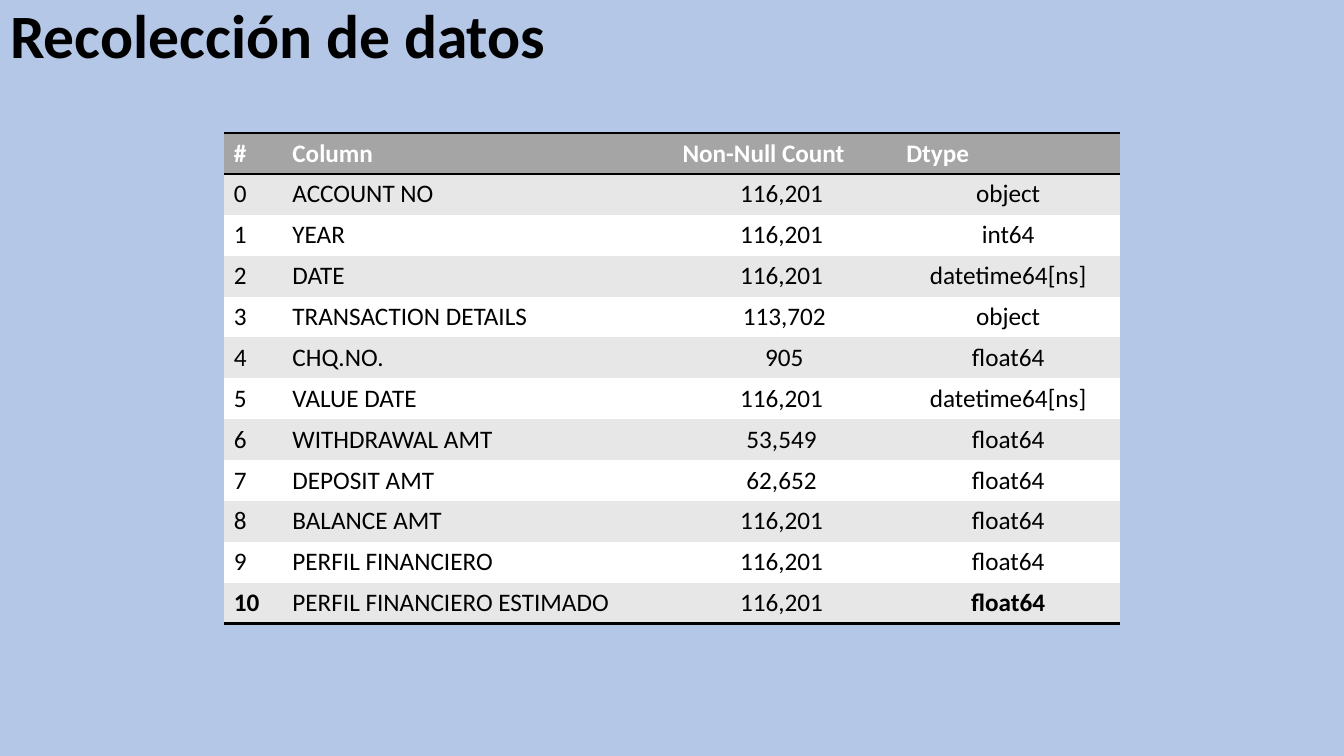
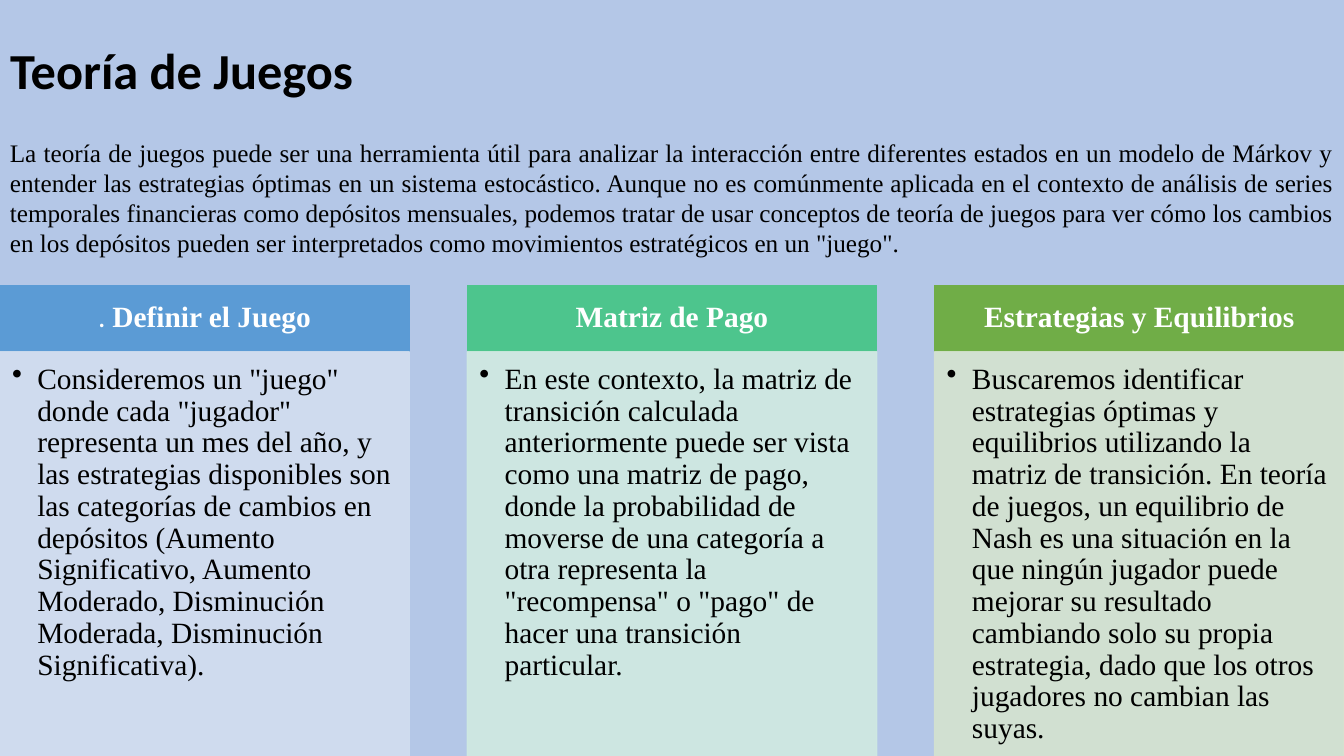
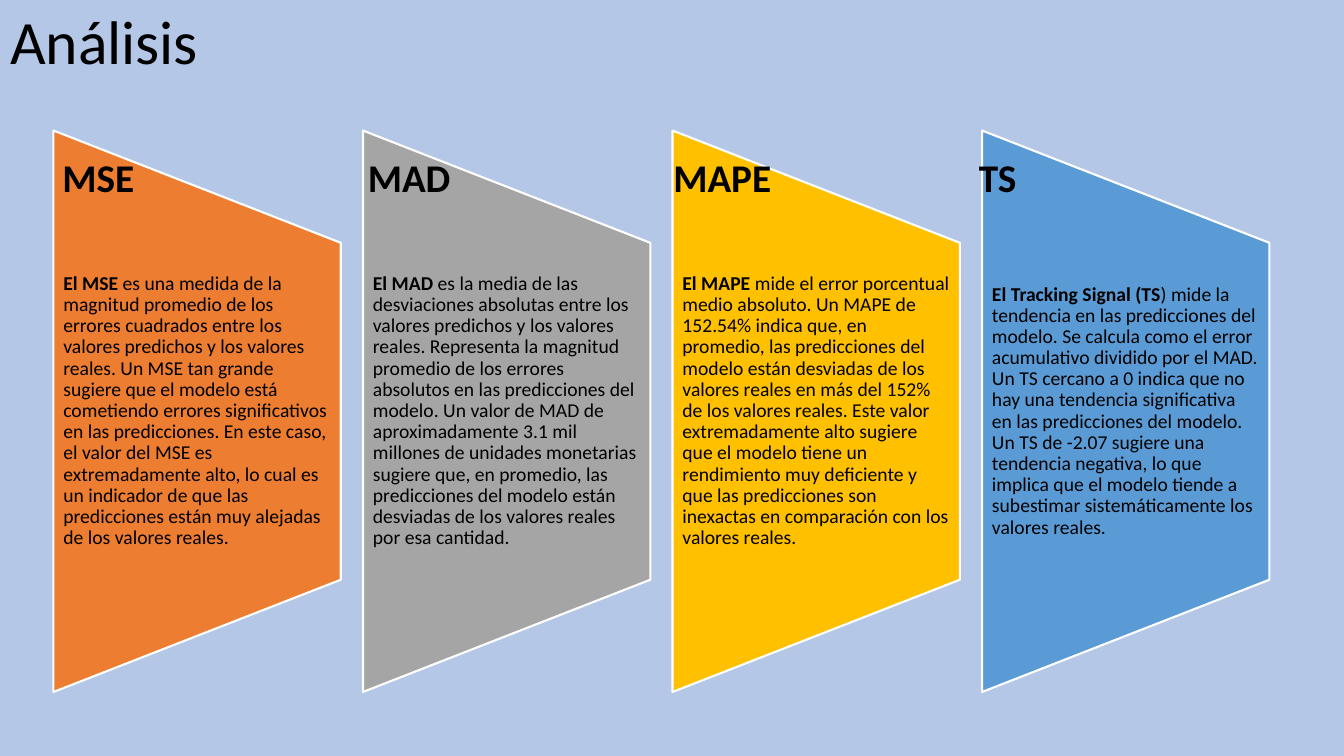
"""Build three slides on data collection, game theory and error analysis."""
from dataclasses import dataclass
from typing import Any

from lxml.etree import SubElement
from pptx import Presentation
from pptx.dml.color import RGBColor
from pptx.enum.shapes import MSO_SHAPE
from pptx.enum.text import MSO_ANCHOR, MSO_AUTO_SIZE, PP_ALIGN
from pptx.oxml.ns import qn
from pptx.util import Inches, Pt


@dataclass(frozen=True)
class Theme:
    sans: str = "Calibri"
    serif: str = "Times New Roman"
    background: str = "B4C7E7"
    black: str = "000000"
    white: str = "FFFFFF"
    gray: str = "A5A5A5"
    band: str = "E7E7E7"
    blue: str = "5B9BD5"
    green: str = "70AD47"
    teal: str = "4DC58D"
    orange: str = "ED7D31"
    yellow: str = "FFC000"
    pale_blue: str = "D2DEEF"
    pale_teal: str = "D0EAE1"
    pale_green: str = "D5E3CF"
    title: int = 44
    small_title: int = 36
    label: int = 28
    card: int = 21
    body: int = 18
    note: int = 14


@dataclass(frozen=True)
class Box:
    x: float
    y: float
    w: float
    h: float

    def lengths(self) -> tuple[int, int, int, int]:
        return Inches(self.x), Inches(self.y), Inches(self.w), Inches(self.h)


@dataclass(frozen=True)
class Column:
    prefix: str
    heading: str
    text: str
    color: str
    pale: str


@dataclass(frozen=True)
class Metric:
    label: str
    lead: str
    text: str
    color: str


T = Theme()
SLIDE_W, SLIDE_H = 13.33, 7.5
NO_GRID_STYLE = "{2D5ABB26-0587-4C30-8999-92F81FD0307C}"

COL_WIDTHS = (0.58, 3.87, 2.22, 2.22)
HEADER = ("#", "Column", "Non-Null Count", "Dtype")
FIELDS = (
    ("ACCOUNT NO", "116,201 ", "object"),
    ("YEAR", "116,201 ", "int64"),
    ("DATE", "116,201 ", "datetime64[ns]"),
    ("TRANSACTION DETAILS", "113,702", "object"),
    ("CHQ.NO.", "905", "float64"),
    ("VALUE DATE", "116,201 ", "datetime64[ns]"),
    ("WITHDRAWAL AMT", "53,549 ", "float64"),
    ("DEPOSIT AMT", "62,652 ", "float64"),
    ("BALANCE AMT", "116,201 ", "float64"),
    ("PERFIL FINANCIERO", "116,201 ", "float64"),
    ("PERFIL FINANCIERO ESTIMADO", "116,201 ", "float64"),
)

INTRO = (
    "La teoría de juegos puede ser una herramienta útil para analizar la interacción entre "
    "diferentes estados en un modelo de Márkov y entender las estrategias óptimas en un sistema "
    "estocástico. Aunque no es comúnmente aplicada en el contexto de análisis de series "
    "temporales financieras como depósitos mensuales, podemos tratar de usar conceptos de teoría "
    "de juegos para ver cómo los cambios en los depósitos pueden ser interpretados como "
    'movimientos estratégicos en un "juego".'
)
COLUMNS = (
    Column(
        ". ", "Definir el Juego",
        'Consideremos un "juego" donde cada "jugador" representa un mes del año, y las estrategias '
        "disponibles son las categorías de cambios en depósitos (Aumento Significativo, Aumento "
        "Moderado, Disminución Moderada, Disminución Significativa).",
        T.blue, T.pale_blue,
    ),
    Column(
        "", "Matriz de Pago",
        "En este contexto, la matriz de transición calculada anteriormente puede ser vista como "
        "una matriz de pago, donde la probabilidad de moverse de una categoría a otra representa "
        'la "recompensa" o "pago" de hacer una transición particular.',
        T.teal, T.pale_teal,
    ),
    Column(
        "", "Estrategias y Equilibrios",
        "Buscaremos identificar estrategias óptimas y equilibrios utilizando la matriz de "
        "transición. En teoría de juegos, un equilibrio de Nash es una situación en la que ningún "
        "jugador puede mejorar su resultado cambiando solo su propia estrategia, dado que los "
        "otros jugadores no cambian las suyas.",
        T.green, T.pale_green,
    ),
)
METRICS = (
    Metric(
        "MSE", "El MSE ",
        "es una medida de la magnitud promedio de los errores cuadrados entre los valores "
        "predichos y los valores reales. Un MSE tan grande sugiere que el modelo está cometiendo "
        "errores significativos en las predicciones. En este caso, el valor del MSE es "
        "extremadamente alto, lo cual es un indicador de que las predicciones están muy alejadas "
        "de los valores reales.",
        T.orange,
    ),
    Metric(
        "MAD", "El MAD ",
        "es la media de las desviaciones absolutas entre los valores predichos y los valores "
        "reales. Representa la magnitud promedio de los errores absolutos en las predicciones del "
        "modelo. Un valor de MAD de aproximadamente 3.1 mil millones de unidades monetarias "
        "sugiere que, en promedio, las predicciones del modelo están desviadas de los valores "
        "reales por esa cantidad.",
        T.gray,
    ),
    Metric(
        "MAPE", "El MAPE ",
        "mide el error porcentual medio absoluto. Un MAPE de 152.54% indica que, en promedio, las "
        "predicciones del modelo están desviadas de los valores reales en más del 152% de los "
        "valores reales. Este valor extremadamente alto sugiere que el modelo tiene un "
        "rendimiento muy deficiente y que las predicciones son inexactas en comparación con los "
        "valores reales.",
        T.yellow,
    ),
    Metric(
        "TS", "El Tracking Signal (TS",
        ") mide la tendencia en las predicciones del modelo. Se calcula como el error acumulativo "
        "dividido por el MAD. Un TS cercano a 0 indica que no hay una tendencia significativa en "
        "las predicciones del modelo. Un TS de -2.07 sugiere una tendencia negativa, lo que "
        "implica que el modelo tiende a subestimar sistemáticamente los valores reales.",
        T.blue,
    ),
)


def write(p: Any, text: str, *, size: int, font: str = T.sans, color: str = T.black,
          bold: bool = False, align: PP_ALIGN = PP_ALIGN.LEFT, spacing: float = 1.0) -> None:
    p.alignment = align
    p.line_spacing = spacing
    r = p.add_run()
    r.text = text
    r.font.size = Pt(size)
    r.font.name = font
    r.font.bold = bold
    r.font.color.rgb = RGBColor.from_string(color)


def frame(sp: Any, *, anchor: MSO_ANCHOR = MSO_ANCHOR.TOP, grow: bool = False,
          insets: tuple[float, float, float, float] = (0.1, 0.05, 0.1, 0.05)) -> Any:
    tf = sp.text_frame
    tf.word_wrap = True
    tf.auto_size = MSO_AUTO_SIZE.SHAPE_TO_FIT_TEXT if grow else MSO_AUTO_SIZE.NONE
    tf.vertical_anchor = anchor
    tf.margin_left, tf.margin_top, tf.margin_right, tf.margin_bottom = map(Inches, insets)
    return tf.paragraphs[0]


def add_panel(s: Any, kind: MSO_SHAPE, box: Box, fill: str, line: str, width: float) -> Any:
    sp = s.shapes.add_shape(kind, *box.lengths())
    sp.shadow.inherit = False
    sp.fill.solid()
    sp.fill.fore_color.rgb = RGBColor.from_string(fill)
    sp.line.color.rgb = RGBColor.from_string(line)
    sp.line.width = Pt(width)
    return sp


def set_opacity(sp: Any, percent: int) -> None:
    for color in sp._element.spPr.iter(qn("a:srgbClr")):
        SubElement(color, qn("a:alpha"), val=str(percent * 1000))


def set_bullet(p: Any, indent: float) -> None:
    pPr = p._p.get_or_add_pPr()
    pPr.set("marL", str(Inches(indent)))
    pPr.set("indent", str(-Inches(indent)))
    SubElement(pPr, qn("a:buChar"), char="•")


def set_border(cell: Any, side: str, width: float = 2) -> None:
    tcPr = cell._tc.get_or_add_tcPr()
    ln = SubElement(tcPr, qn(f"a:{side}"), w=str(Pt(width)))
    SubElement(SubElement(ln, qn("a:solidFill")), qn("a:srgbClr"), val=T.black)
    tcPr.insert(0, ln)


def add_slide(prs: Any, title: str, box: Box, size: int = T.title, bold: bool = True) -> Any:
    s = prs.slides.add_slide(prs.slide_layouts[5])
    sp = s.shapes.title
    sp.left, sp.top, sp.width, sp.height = box.lengths()
    p = frame(sp, anchor=MSO_ANCHOR.MIDDLE)
    write(p, title, size=size, bold=bold, spacing=0.9)
    return s


def build_data(prs: Any) -> None:
    s = add_slide(prs, "Recolección de datos", Box(0, -0.34, 11.5, 1.45))
    rows = [HEADER] + [(str(i), *field) for i, field in enumerate(FIELDS)]
    last = len(rows) - 1
    box = Box(2.22, 1.32, sum(COL_WIDTHS), 4.87)
    table = s.shapes.add_table(len(rows), len(HEADER), *box.lengths()).table
    table.first_row = table.horz_banding = False
    table._tbl.tblPr.find(qn("a:tableStyleId")).text = NO_GRID_STYLE
    for col, width in zip(table.columns, COL_WIDTHS):
        col.width = Inches(width)
    for i, row in enumerate(rows):
        head = i == 0
        fill = T.gray if head else T.band if i % 2 else T.white
        for j, text in enumerate(row):
            cell = table.cell(i, j)
            cell.fill.solid()
            cell.fill.fore_color.rgb = RGBColor.from_string(fill)
            write(cell.text_frame.paragraphs[0], text, size=T.body,
                  color=T.white if head else T.black,
                  bold=head or (i == last and j in (0, 3)),
                  align=PP_ALIGN.CENTER if j > 1 and not head else PP_ALIGN.LEFT)
            if i in (0, last):
                set_border(cell, "lnB")
            if head:
                set_border(cell, "lnT")


def add_column(s: Any, column: Column, x: float) -> None:
    width, top, head_h = 4.06, 2.83, 0.66
    head = add_panel(s, MSO_SHAPE.RECTANGLE, Box(x, top, width, head_h),
                     column.color, column.color, 1)
    p = frame(head, anchor=MSO_ANCHOR.MIDDLE, insets=(0.16, 0.09, 0.16, 0.09))
    if column.prefix:
        write(p, column.prefix, size=T.card, color=T.white)
    write(p, column.heading, size=T.card, font=T.serif, color=T.white, bold=True,
          align=PP_ALIGN.CENTER, spacing=0.9)
    body = add_panel(s, MSO_SHAPE.RECTANGLE, Box(x, top + head_h, width, 4.04),
                     column.pale, column.pale, 1)
    set_opacity(body, 90)
    p = frame(body, insets=(0.12, 0.12, 0.16, 0.18))
    write(p, column.text, size=T.card, font=T.serif, spacing=0.9)
    set_bullet(p, 0.25)


def build_games(prs: Any) -> None:
    s = add_slide(prs, "Teoría de Juegos", Box(0, 0, SLIDE_W, 1.45), T.small_title)
    pitch = (SLIDE_W - 4.06) / (len(COLUMNS) - 1)
    for i, column in enumerate(COLUMNS):
        add_column(s, column, i * pitch)
    intro = s.shapes.add_textbox(*Box(0, 1.31, SLIDE_W, 1.31).lengths())
    write(frame(intro, grow=True), INTRO, size=T.body, font=T.serif, align=PP_ALIGN.JUSTIFY)


def add_metric(s: Any, metric: Metric, x: float, label_x: float) -> None:
    width, length, middle = 2.85, 5.57, 4.08
    box = Box(x + (width - length) / 2, middle - width / 2, length, width)
    panel = add_panel(s, MSO_SHAPE.FLOWCHART_MANUAL_OPERATION, box, metric.color, T.white, 1.5)
    panel.rotation = 270
    note = s.shapes.add_textbox(*Box(x, middle - 1.67, width, 3.34).lengths())
    p = frame(note, anchor=MSO_ANCHOR.MIDDLE, insets=(0.1, 0, 0.1, 0))
    write(p, metric.lead, size=T.note, bold=True)
    write(p, metric.text, size=T.note, spacing=0.9)
    label = s.shapes.add_textbox(*Box(label_x, 1.47, 1.43, 0.57).lengths())
    write(frame(label, grow=True), metric.label, size=T.label, bold=True)


def build_analysis(prs: Any) -> None:
    s = add_slide(prs, "Análisis", Box(0, 0, 3.28, 0.89), bold=False)
    for i, metric in enumerate(METRICS):
        add_metric(s, metric, 0.53 + 3.07 * i, 0.52 + 3.03 * i)


def main() -> None:
    prs = Presentation()
    prs.slide_width, prs.slide_height = Inches(SLIDE_W), Inches(SLIDE_H)
    fill = prs.slide_master.background.fill
    fill.solid()
    fill.fore_color.rgb = RGBColor.from_string(T.background)
    build_data(prs)
    build_games(prs)
    build_analysis(prs)
    prs.save("out.pptx")


if __name__ == "__main__":
    main()
